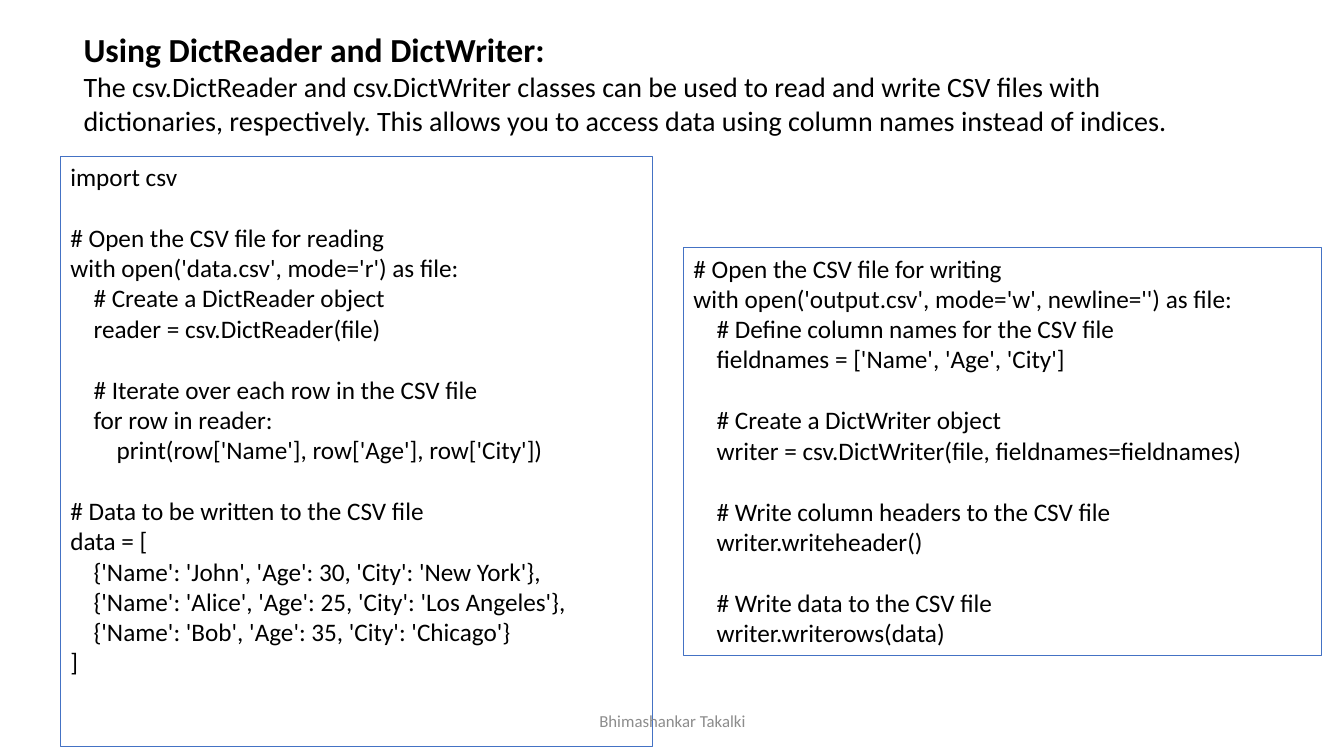
from dataclasses import dataclass

from pptx import Presentation
from pptx.dml.color import RGBColor
from pptx.enum.shapes import MSO_SHAPE
from pptx.enum.text import MSO_ANCHOR, PP_ALIGN
from pptx.shapes.autoshape import Shape
from pptx.slide import Slide
from pptx.text.text import TextFrame
from pptx.util import Inches, Pt


@dataclass(frozen=True)
class Theme:
    font: str = "Calibri"
    text: RGBColor = RGBColor(0x00, 0x00, 0x00)
    muted: RGBColor = RGBColor(0x8C, 0x8C, 0x8C)
    border: RGBColor = RGBColor(0x44, 0x72, 0xC4)
    border_width: float = 0.75
    heading_size: int = 24
    body_size: int = 20
    code_size: int = 18
    footer_size: int = 12
    code_indent: float = 0.23
    code_gap: int = 22


THEME = Theme()


@dataclass(frozen=True)
class Box:
    left: float
    top: float
    width: float
    height: float

    def lengths(self) -> tuple[Inches, Inches, Inches, Inches]:
        return Inches(self.left), Inches(self.top), Inches(self.width), Inches(self.height)


@dataclass(frozen=True)
class Line:
    text: str
    size: int = THEME.code_size
    color: RGBColor = THEME.text
    bold: bool = False
    level: int = 0
    gap_before: bool = False
    alignment: PP_ALIGN = PP_ALIGN.LEFT


@dataclass(frozen=True)
class CodePanel:
    box: Box
    lines: list[Line]


INTRODUCTION = [
    Line("Using DictReader and DictWriter:", THEME.heading_size, bold=True),
    Line(
        "The csv.DictReader and csv.DictWriter classes can be used to read and write CSV files "
        "with dictionaries, respectively. This allows you to access data using column names "
        "instead of indices.",
        THEME.body_size,
    ),
]

READER_PANEL = CodePanel(Box(0.6, 1.55, 5.87, 5.86), [
    Line("import csv"),
    Line("# Open the CSV file for reading", gap_before=True),
    Line("with open('data.csv', mode='r') as file:"),
    Line("# Create a DictReader object", level=1),
    Line("reader = csv.DictReader(file)", level=1),
    Line("# Iterate over each row in the CSV file", level=1, gap_before=True),
    Line("for row in reader:", level=1),
    Line("print(row['Name'], row['Age'], row['City'])", level=2),
    Line("# Data to be written to the CSV file", gap_before=True),
    Line("data = ["),
    Line("{'Name': 'John', 'Age': 30, 'City': 'New York'},", level=1),
    Line("{'Name': 'Alice', 'Age': 25, 'City': 'Los Angeles'},", level=1),
    Line("{'Name': 'Bob', 'Age': 35, 'City': 'Chicago'}", level=1),
    Line("]"),
])

WRITER_PANEL = CodePanel(Box(6.78, 2.46, 6.33, 4.04), [
    Line("# Open the CSV file for writing"),
    Line("with open('output.csv', mode='w', newline='') as file:"),
    Line("# Define column names for the CSV file", level=1),
    Line("fieldnames = ['Name', 'Age', 'City']", level=1),
    Line("# Create a DictWriter object", level=1, gap_before=True),
    Line("writer = csv.DictWriter(file, fieldnames=fieldnames)", level=1),
    Line("# Write column headers to the CSV file", level=1, gap_before=True),
    Line("writer.writeheader()", level=1),
    Line("# Write data to the CSV file", level=1, gap_before=True),
    Line("writer.writerows(data)", level=1),
])

FOOTER = Line("Bhimashankar Takalki", THEME.footer_size, THEME.muted, alignment=PP_ALIGN.CENTER)


def write_lines(text_frame: TextFrame, lines: list[Line], anchor: MSO_ANCHOR) -> None:
    text_frame.word_wrap = True
    text_frame.vertical_anchor = anchor
    for index, line in enumerate(lines):
        paragraph = text_frame.paragraphs[0] if index == 0 else text_frame.add_paragraph()
        paragraph.alignment = line.alignment
        if line.gap_before:
            paragraph.space_before = Pt(THEME.code_gap)
        if line.level:
            properties = paragraph._p.get_or_add_pPr()
            properties.set("marL", str(Inches(line.level * THEME.code_indent)))
        run = paragraph.add_run()
        run.text = line.text
        run.font.name = THEME.font
        run.font.size = Pt(line.size)
        run.font.bold = line.bold
        run.font.color.rgb = line.color


def add_text(
    slide: Slide, box: Box, lines: list[Line], anchor: MSO_ANCHOR = MSO_ANCHOR.TOP
) -> Shape:
    shape = slide.shapes.add_textbox(*box.lengths())
    write_lines(shape.text_frame, lines, anchor)
    return shape


def add_code_panel(slide: Slide, panel: CodePanel) -> Shape:
    shape = slide.shapes.add_shape(MSO_SHAPE.RECTANGLE, *panel.box.lengths())
    shape.shadow.inherit = False
    shape.fill.background()
    shape.line.color.rgb = THEME.border
    shape.line.width = Pt(THEME.border_width)
    write_lines(shape.text_frame, panel.lines, MSO_ANCHOR.TOP)
    return shape


def main() -> None:
    presentation = Presentation()
    presentation.slide_width = Inches(13.33)
    presentation.slide_height = Inches(7.5)
    slide = presentation.slides.add_slide(presentation.slide_layouts[6])
    add_text(slide, Box(0.73, 0.24, 11.42, 1.18), INTRODUCTION)
    for panel in (READER_PANEL, WRITER_PANEL):
        add_code_panel(slide, panel)
    add_text(slide, Box(4.42, 6.95, 4.5, 0.4), [FOOTER], MSO_ANCHOR.MIDDLE)
    presentation.save("out.pptx")


if __name__ == "__main__":
    main()
